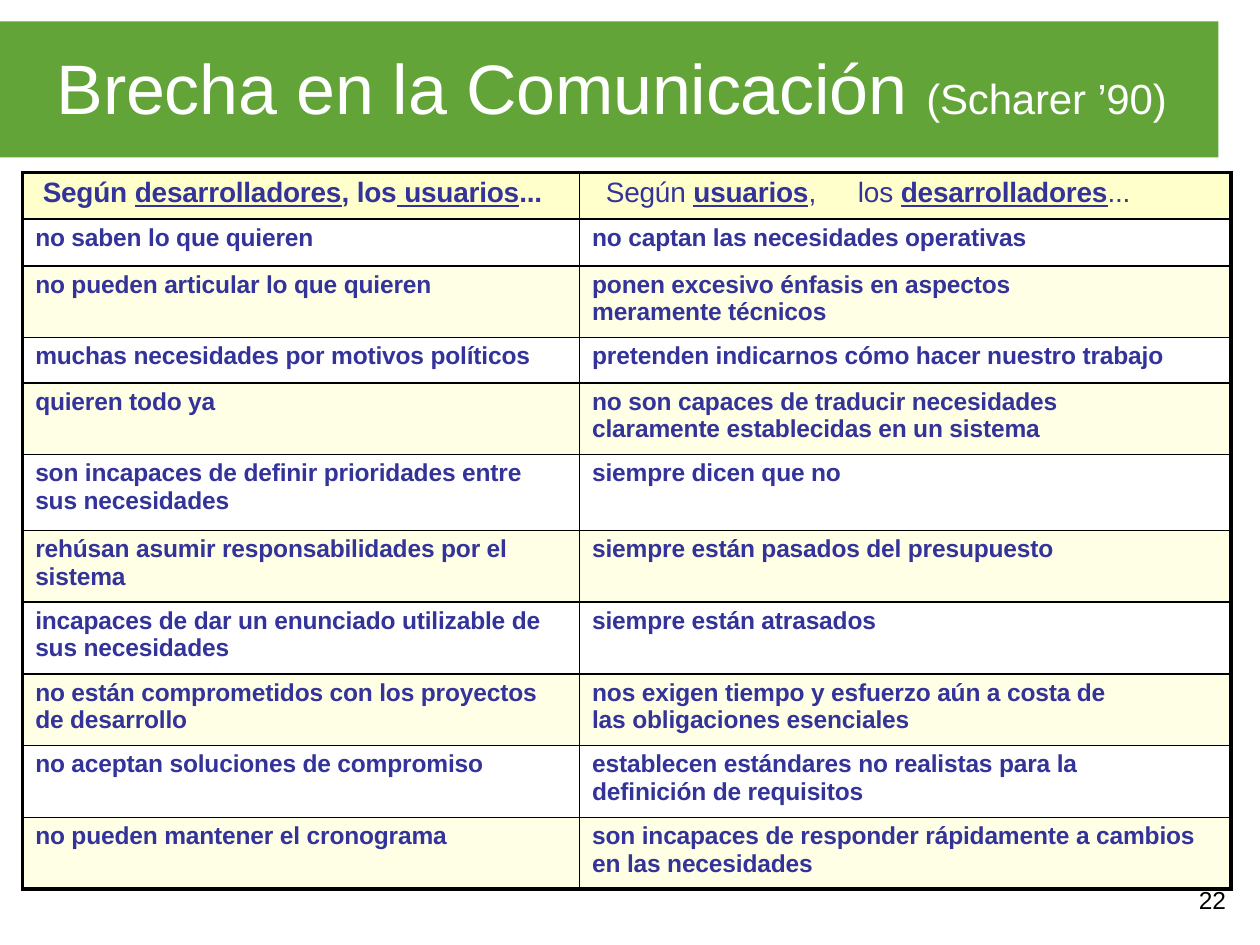
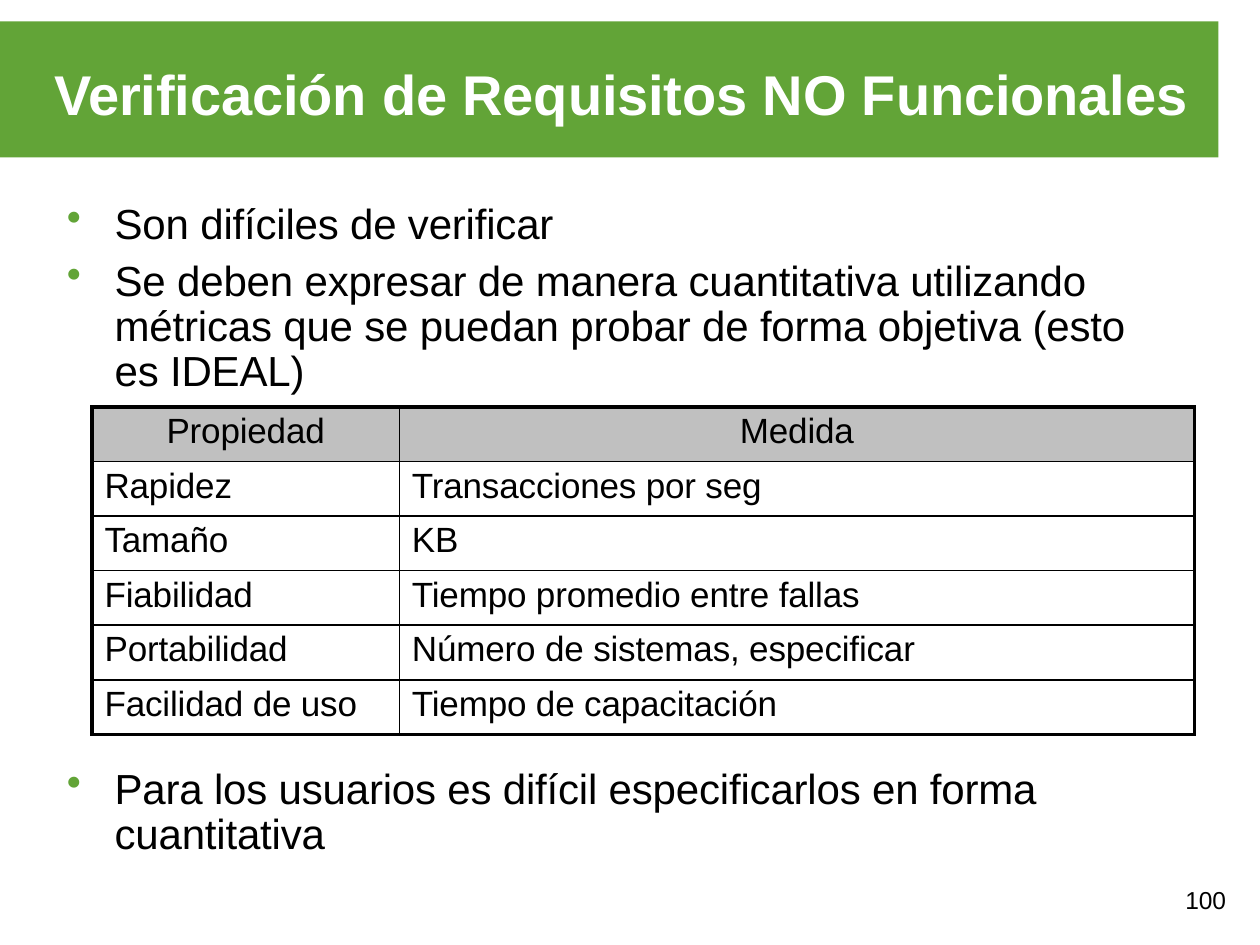
import pptx
import pptx.dml.color
import pptx.enum.shapes
import pptx.enum.text
import pptx.oxml.ns
import pptx.util
from lxml import etree

RGBColor = pptx.dml.color.RGBColor
Inches = pptx.util.Inches
Pt = pptx.util.Pt
PP_ALIGN = pptx.enum.text.PP_ALIGN
qn = pptx.oxml.ns.qn

GREEN = RGBColor(0x62, 0xA4, 0x37)
WHITE = RGBColor(0xFF, 0xFF, 0xFF)
BLACK = RGBColor(0, 0, 0)
INDIGO = RGBColor(0x33, 0x33, 0x99)
CREAM = RGBColor(0xFF, 0xFF, 0xCC)
IVORY = RGBColor(0xFF, 0xFF, 0xE5)
SILVER = RGBColor(0xC0, 0xC0, 0xC0)
FONT = "Arial"
TRACKING = -10
CELL_INDENT = 0.1
OUTER_LINE, INNER_LINE = 2.25, 1

GAP_TITLE = [("Brecha en la Comunicación ", 40, ""), ("(Scharer ’90)", 24, "")]
GAP_HEADS = [
    [("Según ", 16, "b"), ("desarrolladores", 16, "bu"), (", los", 16, "b"),
     (" usuarios", 16, "bu"), ("...", 16, "b")],
    [("Según ", 16, ""), ("usuarios", 16, "bu"), (",\tlos ", 16, ""),
     ("desarrolladores", 16, "bu"), ("...", 16, "")],
]
GAP_HEAD_INDENTS = (0.16, 0.21)
GAP_HEAD_TAB = 2.4
NARROW, WIDE = 0.75, 0.1
GAP_ROWS = [
    (0.37, "no saben lo que quieren", "no captan las necesidades operativas", WIDE),
    (0.57, "no pueden articular lo que quieren",
     "ponen excesivo énfasis en aspectos meramente técnicos", NARROW),
    (0.36, "muchas necesidades por motivos políticos",
     "pretenden indicarnos cómo hacer nuestro trabajo", WIDE),
    (0.57, "quieren todo ya",
     "no son capaces de traducir necesidades claramente establecidas en un sistema", NARROW),
    (0.6, "son incapaces de definir prioridades entre sus necesidades",
     "siempre dicen que no", WIDE),
    (0.57, "rehúsan asumir responsabilidades por el\nsistema",
     "siempre están pasados del presupuesto", WIDE),
    (0.57, "incapaces de dar un enunciado utilizable de sus necesidades",
     "siempre están atrasados", WIDE),
    (0.57, "no están comprometidos con los proyectos de desarrollo",
     "nos exigen tiempo y esfuerzo aún a costa de las obligaciones esenciales", NARROW),
    (0.57, "no aceptan soluciones de compromiso",
     "establecen estándares no realistas para la definición de requisitos", NARROW),
    (0.57, "no pueden mantener el cronograma",
     "son incapaces de responder rápidamente a cambios en las necesidades", WIDE),
]

CHECK_TITLE = [("Verificación de Requisitos NO Funcionales", 32, "b")]
CHECK_POINTS = [
    "Son difíciles de verificar",
    "Se deben expresar de manera cuantitativa utilizando métricas que se puedan "
    "probar de forma objetiva (esto es IDEAL)",
]
CHECK_CLOSING = ["Para los usuarios es difícil especificarlos en forma cuantitativa"]
METRICS = [
    ("Propiedad", "Medida"),
    ("Rapidez", "Transacciones por seg"),
    ("Tamaño", "KB"),
    ("Fiabilidad", "Tiempo promedio entre fallas"),
    ("Portabilidad", "Número de sistemas, especificar"),
    ("Facilidad de uso", "Tiempo de capacitación"),
]


def add_runs(paragraph, runs, color):
    for text, size, style in runs:
        run = paragraph.add_run()
        run.text = text
        run.font.name = FONT
        run.font.size = Pt(size)
        run.font.color.rgb = color
        run.font.bold = "b" in style
        run.font.underline = "u" in style
        run.font._element.set("spc", str(TRACKING))


def set_indent(paragraph, left, first=0):
    properties = paragraph._p.get_or_add_pPr()
    properties.set("marL", str(Inches(left)))
    properties.set("indent", str(Inches(first)))
    return properties


def add_tab(properties, position):
    tabs = etree.SubElement(properties, qn("a:tabLst"))
    etree.SubElement(tabs, qn("a:tab"), pos=str(Inches(position)), algn="l")


def add_box(slide, left, top, width, height, inset_top=0, inset_right=0):
    box = slide.shapes.add_textbox(*map(Inches, (left, top, width, height)))
    frame = box.text_frame
    frame.word_wrap = True
    frame.margin_left = frame.margin_bottom = 0
    frame.margin_top = Inches(inset_top)
    frame.margin_right = Inches(inset_right)
    return frame


def add_page(deck, title, title_place, number):
    slide = deck.slides.add_slide(deck.slide_layouts[6])
    band = slide.shapes.add_shape(pptx.enum.shapes.MSO_SHAPE.RECTANGLE,
                                  0, Inches(0.17), Inches(9.67), Inches(1.08))
    band.shadow.inherit = False
    band.fill.solid()
    band.fill.fore_color.rgb = GREEN
    band.line.fill.background()
    heading = add_box(slide, *title_place, inset_top=0.06).paragraphs[0]
    set_indent(heading, 0.01)
    add_runs(heading, title, WHITE)
    footer = add_box(slide, 9.37, 7.03, 0.41, 0.25, inset_right=0.05).paragraphs[0]
    footer.alignment = PP_ALIGN.RIGHT
    footer.line_spacing = Pt(16.5)
    add_runs(footer, [(number, 14, "")], BLACK)
    return slide


def add_points(slide, place, points):
    frame = add_box(slide, *place, inset_top=0.08)
    for index, point in enumerate(points):
        paragraph = frame.add_paragraph() if index else frame.paragraphs[0]
        properties = set_indent(paragraph, 0.39, -0.38)
        bullet_color = etree.SubElement(properties, qn("a:buClr"))
        etree.SubElement(bullet_color, qn("a:srgbClr"), val=str(GREEN))
        etree.SubElement(properties, qn("a:buChar"), char="•")
        if index:
            paragraph.space_before = Pt(6.2)
        if len(point) > 40:
            paragraph.line_spacing = Pt(25.9)
        add_runs(paragraph, [(point, 24, "")], BLACK)


def add_grid(slide, left, top, widths, heights):
    frame = slide.shapes.add_table(len(heights), len(widths), Inches(left), Inches(top),
                                   Inches(sum(widths)), Inches(sum(heights)))
    table = frame.table
    table.first_row = table.horz_banding = False
    for column, width in zip(table.columns, widths):
        column.width = Inches(width)
    for row, height in zip(table.rows, heights):
        row.height = Inches(height)
    last_row, last_column = len(heights) - 1, len(widths) - 1
    for r in range(len(heights)):
        for c in range(len(widths)):
            outer = {"L": c == 0, "R": c == last_column, "T": r == 0, "B": r == last_row}
            draw_borders(table.cell(r, c), outer)
    return table


def draw_borders(cell, outer):
    properties = cell._tc.get_or_add_tcPr()
    for side, is_outer in outer.items():
        width = Pt(OUTER_LINE if is_outer else INNER_LINE)
        line = etree.SubElement(properties, qn("a:ln" + side), w=str(width))
        fill = etree.SubElement(line, qn("a:solidFill"))
        etree.SubElement(fill, qn("a:srgbClr"), val=str(BLACK))


def fill_cell(cell, paragraphs, color, background=None, indent=CELL_INDENT,
              right=0, tab=None, align=None):
    cell.margin_left = cell.margin_bottom = 0
    cell.margin_top = Inches(0.04)
    cell.margin_right = Inches(right)
    if background is None:
        cell.fill.background()
    else:
        cell.fill.solid()
        cell.fill.fore_color.rgb = background
    for index, runs in enumerate(paragraphs):
        paragraph = cell.text_frame.add_paragraph() if index else cell.text_frame.paragraphs[0]
        properties = set_indent(paragraph, indent)
        if tab:
            add_tab(properties, tab)
        paragraph.alignment = align
        add_runs(paragraph, runs, color)


def build_gap(deck):
    slide = add_page(deck, GAP_TITLE, (0.44, 0.29, 8.91, 0.69), "22")
    heights = [0.37] + [row[0] for row in GAP_ROWS]
    table = add_grid(slide, 0.18, 1.37, (4.42, 5.17), heights)
    for c, (head, indent) in enumerate(zip(GAP_HEADS, GAP_HEAD_INDENTS)):
        fill_cell(table.cell(0, c), [head], INDIGO, CREAM, indent,
                  tab=GAP_HEAD_TAB if c else None)
    for r, (_, users, developers, right) in enumerate(GAP_ROWS, 1):
        background = IVORY if r % 2 == 0 else None
        for c, (opinion, margin) in enumerate(((users, WIDE), (developers, right))):
            paragraphs = [[(line, 14, "b")] for line in opinion.split("\n")]
            fill_cell(table.cell(r, c), paragraphs, INDIGO, background, right=margin)


def build_check(deck):
    slide = add_page(deck, CHECK_TITLE, (0.42, 0.41, 9.08, 0.56), "100")
    add_points(slide, (0.52, 1.49, 8.51, 1.63), CHECK_POINTS)
    add_points(slide, (0.52, 6.01, 7.8, 0.79), CHECK_CLOSING)
    table = add_grid(slide, 0.73, 3.23, (2.44, 6.31), [2.6 / len(METRICS)] * len(METRICS))
    for r, metric in enumerate(METRICS):
        for c, text in enumerate(metric):
            is_head = r == 0
            fill_cell(table.cell(r, c), [[(text, 20, "")]], BLACK,
                      SILVER if is_head else None,
                      indent=0 if is_head else CELL_INDENT,
                      align=PP_ALIGN.CENTER if is_head else None)


def main():
    deck = pptx.Presentation()
    deck.slide_width, deck.slide_height = Inches(10), Inches(7.5)
    build_gap(deck)
    build_check(deck)
    deck.save("out.pptx")


if __name__ == "__main__":
    main()
